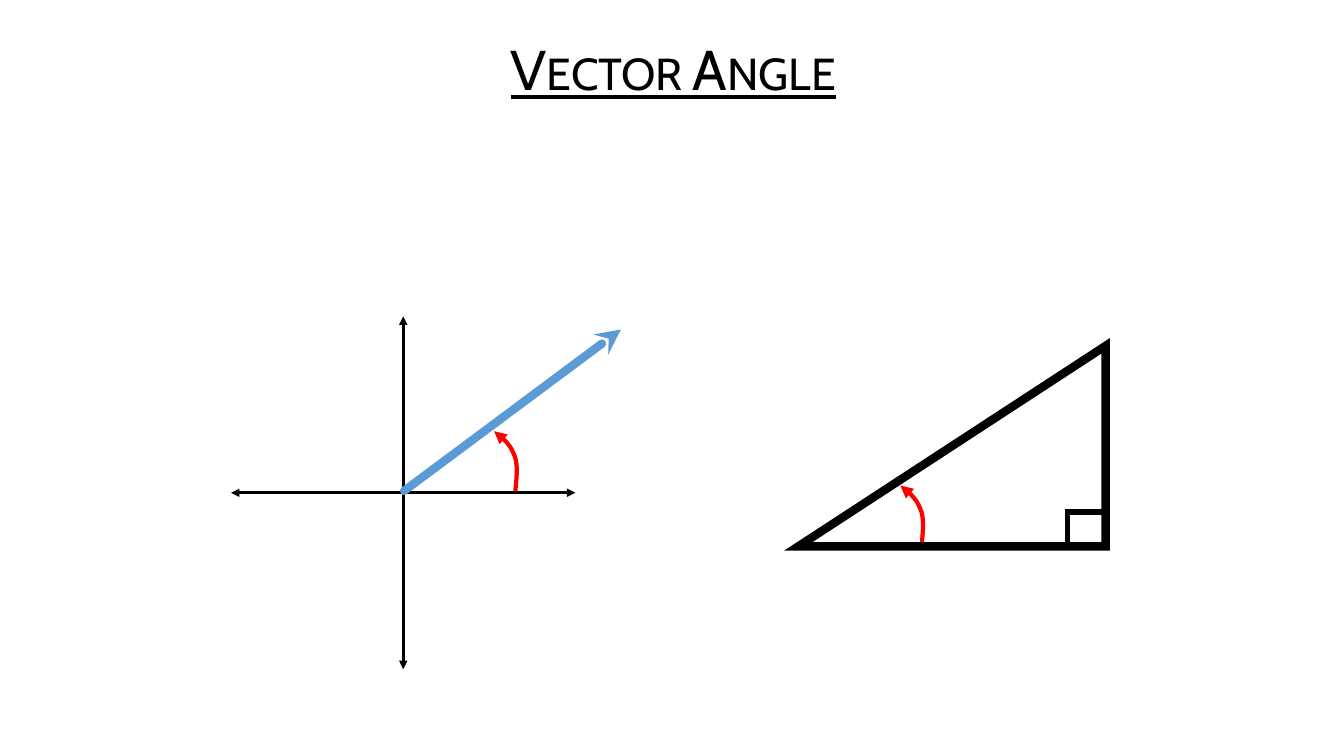
from lxml.etree import SubElement
from pptx import Presentation
from pptx.dml.color import RGBColor
from pptx.enum.shapes import MSO_CONNECTOR as CONNECTOR, MSO_SHAPE as SHAPE
from pptx.enum.text import MSO_ANCHOR as ANCHOR, MSO_AUTO_SIZE as AUTO_SIZE, PP_ALIGN as ALIGN
from pptx.oxml.ns import qn
from pptx.util import Pt

BLACK, RED, BLUE = "000000", "FF0000", "5B9BD5"
ARC_OFFSETS = [(0.9, -9.4), (2, -18.5), (0, -25.2), (-2.9, -32.8), (-7.4, -38.5), (-15.1, -44)]


def color(hex_value):
    """Return the colour for a hex string."""
    return RGBColor.from_string(hex_value)


def style_line(shape, hex_value, width, join="miter", head=None, tail=None):
    """Set the colour, width, corner join and arrowheads of a shape's line."""
    shape.line.color.rgb = color(hex_value)
    shape.line.width = Pt(width)
    line = shape.element.spPr.find(qn("a:ln"))
    SubElement(line, qn(f"a:{join}"))
    for end, kind in (("headEnd", head), ("tailEnd", tail)):
        if kind:
            SubElement(line, qn(f"a:{end}"), type=kind)
    return line


def add_line(slide, start, end, hex_value, width, **ends):
    """Draw a straight line between two points and return its line element."""
    points = [Pt(value) for value in (*start, *end)]
    connector = slide.shapes.add_connector(CONNECTOR.STRAIGHT, *points)
    line = style_line(connector, hex_value, width, **ends)
    SubElement(connector.element.spPr, qn("a:effectLst"))
    return line


def add_angle_arc(slide, left, bottom):
    """Draw the red curved arrow that rises from the given point."""
    builder = slide.shapes.build_freeform(Pt(left), Pt(bottom))
    builder.add_line_segments([(Pt(left + x), Pt(bottom + y)) for x, y in ARC_OFFSETS], close=False)
    arc = builder.convert_to_shape()
    segments = arc.element.findall(".//" + qn("a:lnTo"))
    outline = segments[0].getparent()
    for first in range(0, len(segments), 3):
        curve = SubElement(outline, qn("a:cubicBezTo"))
        for segment in segments[first:first + 3]:
            curve.append(segment[0])
            outline.remove(segment)
    arc.fill.background()
    arc.shadow.inherit = False
    style_line(arc, RED, 3, tail="triangle")


def add_title(slide, left, top, width, height):
    """Place the underlined small-caps title in its box."""
    title = slide.shapes.title
    title.left, title.top, title.width, title.height = map(Pt, (left, top, width, height))
    frame = title.text_frame
    frame.text = "Vector Angle"
    frame.auto_size = AUTO_SIZE.NONE
    frame.vertical_anchor = ANCHOR.MIDDLE
    paragraph = frame.paragraphs[0]
    paragraph.alignment = ALIGN.CENTER
    paragraph.line_spacing = 0.9
    font = paragraph.runs[0].font
    font.name, font.size, font.underline = "Cabin", Pt(40), True
    font.color.rgb = color(BLACK)
    paragraph.runs[0]._r.get_or_add_rPr().set("cap", "small")


def add_vector_axes(slide, left, top, width, height):
    """Draw the axes, the vector from their origin and its angle."""
    center_x, center_y = left + width / 2, top + height / 2
    add_angle_arc(slide, center_x + 80, center_y)
    axes = [((center_x, top + height), (center_x, top)),
            ((left, center_y), (left + width, center_y))]
    for start, end in axes:
        add_line(slide, start, end, BLACK, 2, head="triangle", tail="triangle")
    vector = add_line(slide, (center_x + 0.7, center_y - 1.4), (center_x + 155.5, center_y - 116.6),
                      BLUE, 6, join="round", tail="stealth")
    vector.set("cap", "rnd")


def add_right_triangle(slide, left, top, width, height):
    """Draw the right triangle with its angle and its right-angle mark."""
    add_angle_arc(slide, left + 88, top + height + 0.5)
    triangle = slide.shapes.add_shape(SHAPE.RIGHT_TRIANGLE, *map(Pt, (left, top, width, height)))
    triangle.element.spPr.xfrm.set("flipH", "1")
    triangle.fill.background()
    triangle.shadow.inherit = False
    style_line(triangle, BLACK, 6)

    mark_box = (left + width - 28, top + height - 26.6, 23.8, 25.2)
    mark = slide.shapes.add_shape(SHAPE.HALF_FRAME, *map(Pt, mark_box))
    mark.rotation = 90
    mark.adjustments[0], mark.adjustments[1] = 0.117, 0.133
    mark.element.spPr.find(qn("a:prstGeom")).set("prst", "corner")
    mark.fill.solid()
    mark.fill.fore_color.rgb = color(BLACK)
    mark.shadow.inherit = False
    style_line(mark, BLACK, 1)


def main():
    """Build the slide and save it."""
    presentation = Presentation()
    presentation.slide_width, presentation.slide_height = Pt(960), Pt(540)
    slide = presentation.slides.add_slide(presentation.slide_layouts[5])
    add_title(slide, 127, 21, 708, 61)
    add_vector_axes(slide, 165, 226, 246, 252)
    add_right_triangle(slide, 570.2, 247, 219.6, 143.3)
    presentation.save("out.pptx")


if __name__ == "__main__":
    main()
